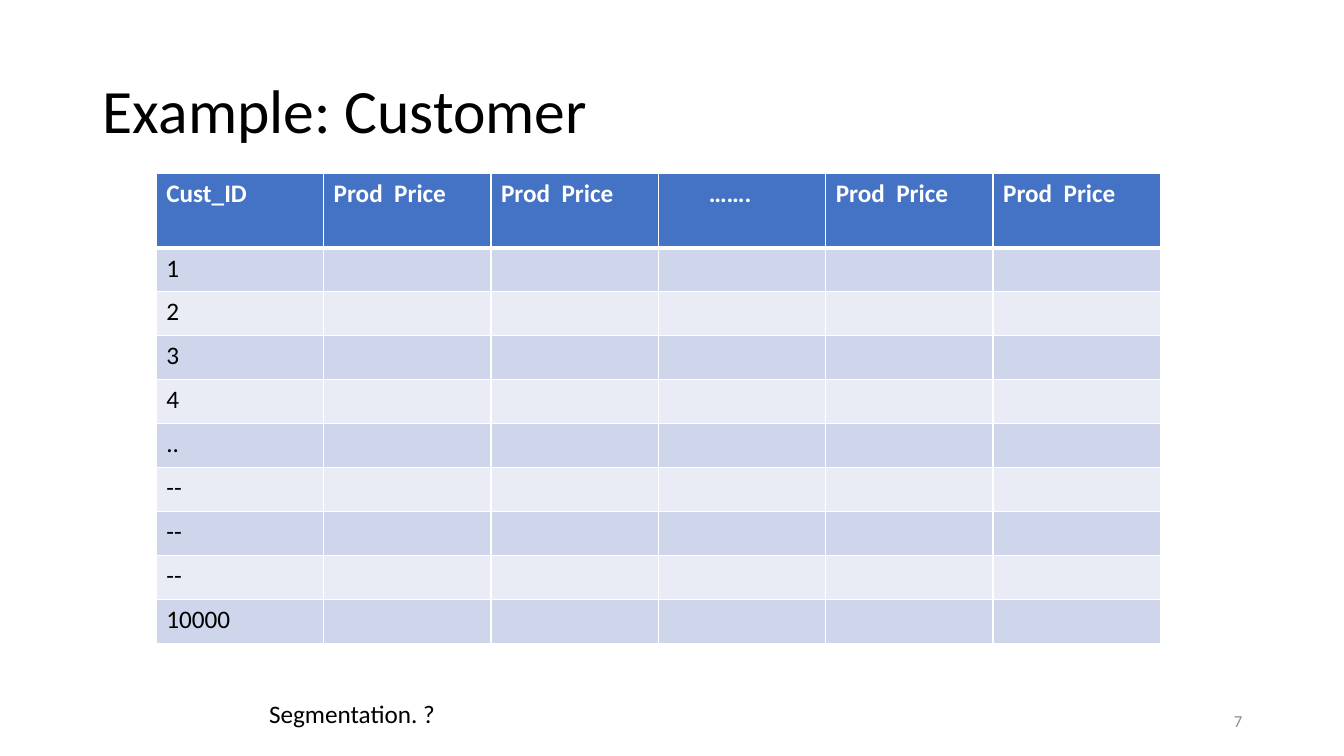
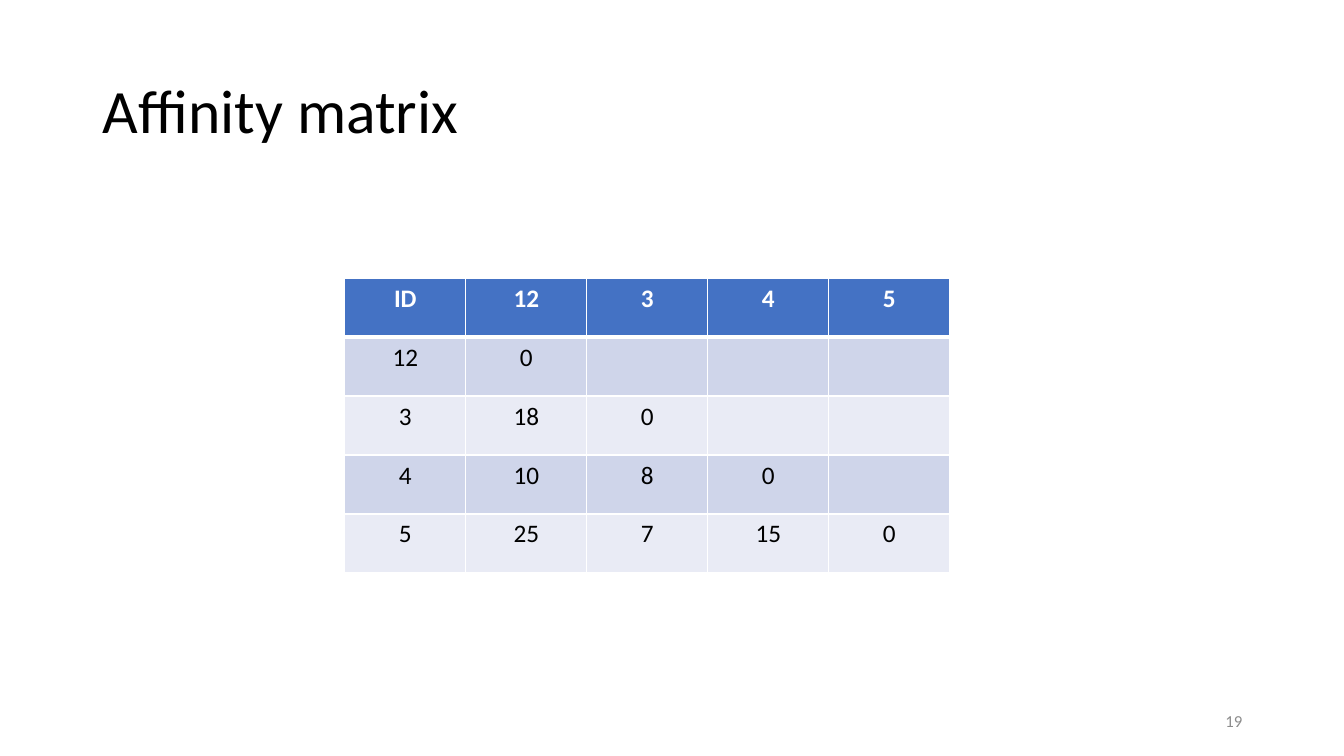
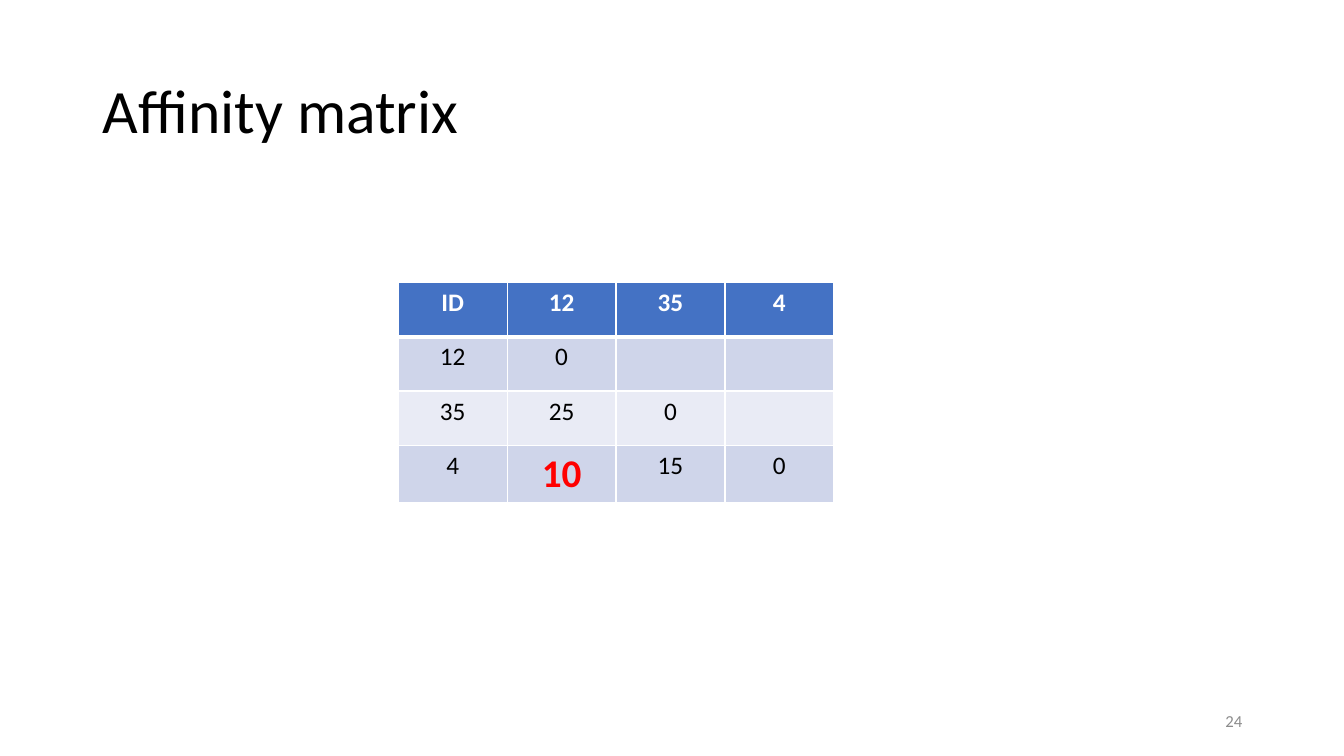
"""Build three slides on customer segmentation and affinity matrices."""
from lxml import etree
from pptx import Presentation
from pptx.dml.color import RGBColor
from pptx.enum.text import MSO_ANCHOR, MSO_AUTO_SIZE, PP_ALIGN
from pptx.oxml.ns import qn
from pptx.util import Inches, Pt

LEFT, CENTER, RIGHT = PP_ALIGN.LEFT, PP_ALIGN.CENTER, PP_ALIGN.RIGHT
TOP, MIDDLE = MSO_ANCHOR.TOP, MSO_ANCHOR.MIDDLE
NO_AUTOFIT = MSO_AUTO_SIZE.NONE
TITLE_ONLY = 5
FONT = "Calibri"
COLORS = {
    "text": "000000",
    "number": "8C8C8C",
    "header": "4472C4",
    "header_text": "FFFFFF",
    "border": "FFFFFF",
    "band_dark": "CFD5EA",
    "band_light": "E9EBF5",
    "highlight": "FF0000",
}


class Deck:
    def __init__(self):
        self.presentation = Presentation()
        self.presentation.slide_width = Inches(13.33)
        self.presentation.slide_height = Inches(7.5)
        self.slide = None

    def style(self, paragraph, size, color, bold=False, align=LEFT):
        paragraph.alignment = align
        font = paragraph.font
        font.name, font.size, font.bold = FONT, Pt(size), bold
        font.color.rgb = RGBColor.from_string(COLORS[color])

    def add_slide(self, title, number):
        layout = self.presentation.slide_layouts[TITLE_ONLY]
        self.slide = self.presentation.slides.add_slide(layout)
        shape = self.slide.shapes.title
        shape.left, shape.top = Inches(0.92), Inches(0.4)
        shape.width, shape.height = Inches(11.5), Inches(1.45)
        frame = shape.text_frame
        frame.text = title
        frame.auto_size = NO_AUTOFIT
        frame.vertical_anchor = MIDDLE
        paragraph = frame.paragraphs[0]
        paragraph.line_spacing = 0.9
        self.style(paragraph, 44, "text")
        self.add_text(str(number), 9.42, 6.95, 3, 12, "number", RIGHT, MIDDLE)

    def add_text(self, text, left, top, width, size, color="text",
                 align=LEFT, anchor=TOP):
        shape = self.slide.shapes.add_textbox(
            Inches(left), Inches(top), Inches(width), Inches(0.4))
        frame = shape.text_frame
        frame.word_wrap = True
        frame.vertical_anchor = anchor
        frame.text = text
        self.style(frame.paragraphs[0], size, color, align=align)

    def add_borders(self, cell, top_width, bottom_width):
        properties = cell._tc.get_or_add_tcPr()
        widths = {"L": 1, "R": 1, "T": top_width, "B": bottom_width}
        for side, width in widths.items():
            line = etree.SubElement(properties, qn(f"a:ln{side}"), w=str(Pt(width)))
            fill = etree.SubElement(line, qn("a:solidFill"))
            etree.SubElement(fill, qn("a:srgbClr"), val=COLORS["border"])

    def add_table(self, rows, left, top, column_width, row_heights, align=CENTER):
        column_count = len(rows[0])
        frame = self.slide.shapes.add_table(
            len(rows), column_count, Inches(left), Inches(top),
            Inches(column_width * column_count), Inches(sum(row_heights)))
        table = frame.table
        for column in table.columns:
            column.width = Inches(column_width)
        for row_index, values in enumerate(rows):
            table.rows[row_index].height = Inches(row_heights[row_index])
            header = row_index == 0
            band = "band_dark" if row_index % 2 else "band_light"
            for column_index in range(column_count):
                cell = table.cell(row_index, column_index)
                self.add_borders(cell, 3 if row_index == 1 else 1, 3 if header else 1)
                cell.fill.solid()
                cell.fill.fore_color.rgb = RGBColor.from_string(
                    COLORS["header" if header else band])
                if column_index < len(values):
                    cell.text = values[column_index]
                self.style(cell.text_frame.paragraphs[0], 18,
                           "header_text" if header else "text", header, align)
        return table


def main():
    deck = Deck()

    deck.add_slide("Example: Customer", 7)
    price = "Prod  Price"
    customer_ids = ["1", "2", "3", "4", "..", "--", "--", "--", "10000"]
    customers = deck.add_table(
        [["Cust_ID", price, price, "…….", price, price]]
        + [[customer_id] for customer_id in customer_ids],
        1.55, 1.72, 1.66, [0.74] + [0.436] * len(customer_ids), LEFT)
    customers.cell(0, 3).margin_left = Inches(0.5)
    deck.add_text("Segmentation. ?", 2.57, 6.88, 4.86, 18)

    deck.add_slide("Affinity matrix", 19)
    deck.add_table([
        ["ID", "12", "3", "4", "5"],
        ["12", "0"],
        ["3", "18", "0"],
        ["4", "10", "8", "0"],
        ["5", "25", "7", "15", "0"],
    ], 3.42, 2.76, 1.2, [0.585] * 5)

    deck.add_slide("Affinity matrix", 24)
    merged = deck.add_table([
        ["ID", "12", "35", "4"],
        ["12", "0"],
        ["35", "25", "0"],
        ["4", "10", "15", "0"],
    ], 3.95, 2.8, 1.08, [0.54] * 4)
    smallest = merged.cell(3, 1).text_frame.paragraphs[0]
    deck.style(smallest, 28, "highlight", True, CENTER)

    deck.presentation.save("out.pptx")


if __name__ == "__main__":
    main()
